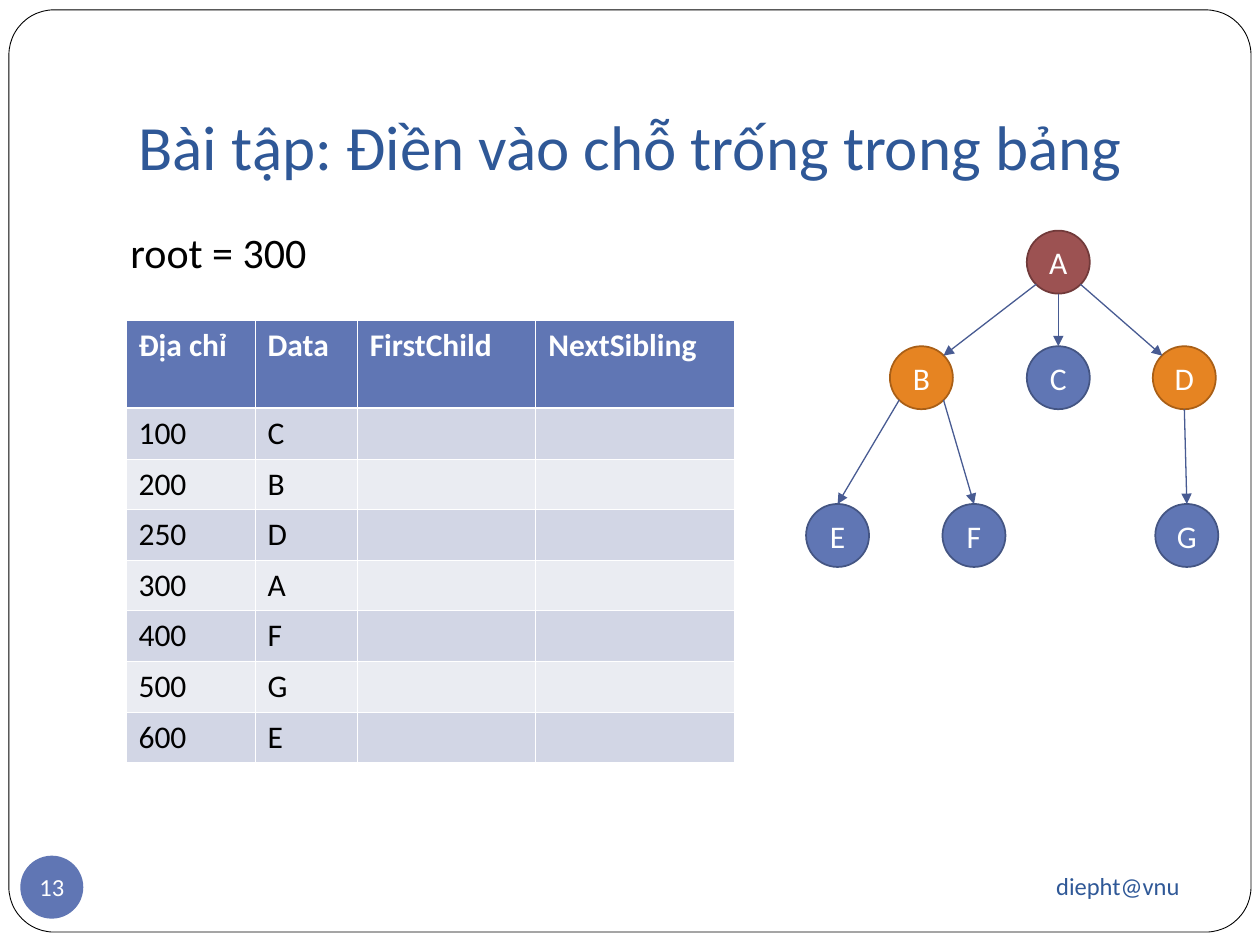
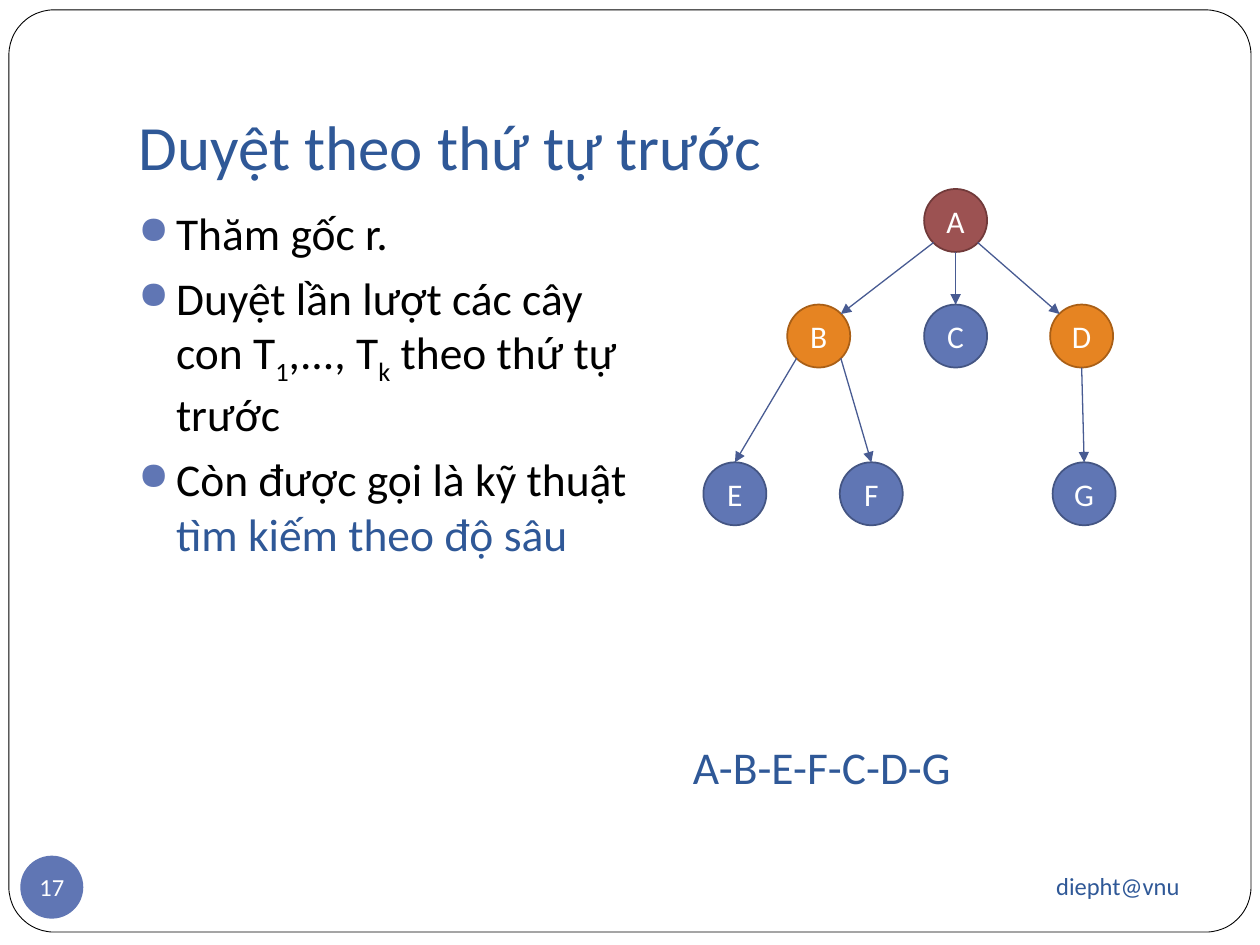
from lxml.etree import SubElement
from pptx import Presentation
from pptx.dml.color import RGBColor
from pptx.enum.shapes import MSO_CONNECTOR as Link, MSO_SHAPE as Preset
from pptx.enum.text import MSO_ANCHOR as Anchor, MSO_AUTO_SIZE as Fit, PP_ALIGN as Align
from pptx.oxml import parse_xml
from pptx.oxml.ns import nsdecls, qn
from pptx.util import Cm, Pt

FONT = "Calibri"
COLORS = {
    "white": "FFFFFF", "black": "000000", "heading": "2F5897",
    "blue": "6076B4", "blue_edge": "445583",
    "red": "9C5252", "red_edge": "713A3A",
    "orange": "E68422", "orange_edge": "A95F16",
    "arrow": "485B92", "band_dark": "D2D6E5", "band_light": "EAECF2",
}
NODE = 1.27
NODES = {
    "A": (4.45, 0, "red"),
    "B": (1.69, 2.33, "orange"), "C": (4.45, 2.33, "blue"), "D": (6.99, 2.33, "orange"),
    "E": (0, 5.51, "blue"), "F": (2.75, 5.51, "blue"), "G": (7.04, 5.51, "blue"),
}
NEAR, MIDDLE, FAR = 0.15 * NODE, 0.5 * NODE, 0.85 * NODE
SIDES = {
    "top": (MIDDLE, 0), "bottom": (MIDDLE, NODE),
    "top left": (NEAR, NEAR), "top right": (FAR, NEAR),
    "bottom left": (NEAR, FAR), "bottom right": (FAR, FAR),
}
EDGES = [
    ("A", "bottom left", "B", "top right"), ("A", "bottom", "C", "top"),
    ("A", "bottom right", "D", "top left"), ("B", "bottom left", "E", "top"),
    ("B", "bottom right", "F", "top"), ("D", "bottom", "G", "top"),
]
HEADERS = ["Địa chỉ", "Data", "FirstChild", "NextSibling"]
RECORDS = [("100", "C"), ("200", "B"), ("250", "D"), ("300", "A"),
           ("400", "F"), ("500", "G"), ("600", "E")]
STEPS = [
    [("Thăm gốc r.", "black", 0)],
    [("Duyệt lần lượt các cây con T", "black", 0), ("1", "black", -25000),
     (",..., T", "black", 0), ("k", "black", -25000), (" theo thứ tự trước", "black", 0)],
    [("Còn được gọi là kỹ thuật", "black", 0), (" tìm kiếm theo độ sâu", "heading", 0)],
]


def rgb(name):
    """Return the named colour."""
    return RGBColor.from_string(COLORS[name])


def add_span(para, text, size, color, bold=False, baseline=0):
    """Add one formatted run to a paragraph."""
    span = para.add_run()
    span.text = text
    font = span.font
    font.name, font.size, font.bold = FONT, Pt(size), bold
    font.color.rgb = rgb(color)
    if baseline:
        span._r.get_or_add_rPr().set("baseline", str(baseline))


def add_text(page, box, text, size, color, align=Align.LEFT, anchor=Anchor.TOP, wrap=True):
    """Add a one-paragraph text box."""
    frame = page.shapes.add_textbox(*map(Cm, box)).text_frame
    frame.word_wrap, frame.vertical_anchor = wrap, anchor
    frame.paragraphs[0].alignment = align
    add_span(frame.paragraphs[0], text, size, color)


def add_disc(page, left, top, text, size, fill, edge=None):
    """Add a round node with a centred label."""
    disc = page.shapes.add_shape(Preset.OVAL, Cm(left), Cm(top), Cm(NODE), Cm(NODE))
    disc.shadow.inherit = False
    disc.fill.solid()
    disc.fill.fore_color.rgb = rgb(fill)
    if edge:
        disc.line.color.rgb, disc.line.width = rgb(edge), Pt(1)
    else:
        disc.line.fill.background()
    frame = disc.text_frame
    frame.word_wrap, frame.vertical_anchor = False, Anchor.MIDDLE
    frame.margin_left = frame.margin_right = frame.margin_top = frame.margin_bottom = 0
    frame.paragraphs[0].alignment = Align.CENTER
    add_span(frame.paragraphs[0], text, size, "white")
    return disc


def add_arrow(page, start, end):
    """Add a straight connector with an arrowhead at its end."""
    arrow = page.shapes.add_connector(Link.STRAIGHT, *map(Cm, (*start, *end)))
    arrow.line.color.rgb, arrow.line.width = rgb("arrow"), Pt(0.75)
    SubElement(arrow.line._get_or_add_ln(), qn("a:tailEnd"), type="triangle")
    SubElement(arrow.element.spPr, qn("a:effectLst"))
    return arrow


def add_tree(page, left, top):
    """Draw the tree with its upper left corner at the given point."""
    discs = {}
    for name, (x, y, fill) in NODES.items():
        discs[name] = add_disc(page, left + x, top + y, name, 18, fill, fill + "_edge")

    def point(name, side):
        """Locate a side of a node."""
        return left + NODES[name][0] + SIDES[side][0], top + NODES[name][1] + SIDES[side][1]

    for parent, parent_side, child, child_side in EDGES:
        arrow = add_arrow(page, point(parent, parent_side), point(child, child_side))
        if child_side == "top":
            arrow.end_connect(discs[child], 0)


def style_cell(cell, text, fill, color, bold, top, bottom):
    """Fill a table cell, write its text and draw its white borders."""
    cell.fill.solid()
    cell.fill.fore_color.rgb = rgb(fill)
    if text:
        add_span(cell.text_frame.paragraphs[0], text, 18, color, bold)
    borders = [("lnL", 0.45), ("lnR", 0.45), ("lnT", top), ("lnB", bottom)]
    for position, (tag, width) in enumerate(borders):
        cell._tc.get_or_add_tcPr().insert(position, parse_xml(
            f'<a:{tag} {nsdecls("a")} w="{Pt(width)}"><a:solidFill>'
            f'<a:srgbClr val="{COLORS["white"]}"/></a:solidFill></a:{tag}>'))


def add_node_table(page, left, top):
    """Add the table of node addresses with blanks to fill in."""
    widths = [2.6, 2.06, 3.6, 4.01]
    heights = [1.78] + [1.02] * len(RECORDS)
    table = page.shapes.add_table(len(heights), len(widths), Cm(left), Cm(top),
                                  Cm(sum(widths)), Cm(sum(heights))).table
    for column, width in zip(table.columns, widths):
        column.width = Cm(width)
    for row, height in zip(table.rows, heights):
        row.height = Cm(height)
    for index, header in enumerate(HEADERS):
        style_cell(table.cell(0, index), header, "blue", "white", True, 0.45, 1.47)
    for number, record in enumerate(RECORDS, 1):
        fill = "band_dark" if number % 2 else "band_light"
        for index, text in enumerate((*record, "", "")):
            style_cell(table.cell(number, index), text, fill, "black", False,
                       1.47 if number == 1 else 0.45, 0.45)


def add_steps(page, box):
    """Add the bulleted steps of the traversal."""
    frame = page.shapes.add_textbox(*map(Cm, box)).text_frame
    frame.word_wrap = True
    for index, step in enumerate(STEPS):
        para = frame.add_paragraph() if index else frame.paragraphs[0]
        layout = para._p.get_or_add_pPr()
        layout.set("marL", str(Cm(0.76)))
        layout.set("indent", str(-Cm(0.76)))
        SubElement(SubElement(layout, qn("a:buClr")), qn("a:srgbClr"), val=COLORS["blue"])
        SubElement(layout, qn("a:buSzPct"), val="85000")
        SubElement(layout, qn("a:buChar"), char="●")
        para.space_before = Pt(5.8 if index else 0)
        for text, color, baseline in step:
            add_span(para, text, 26, color, baseline=baseline)


def add_frame(page):
    """Put the rounded page frame on the layout behind the slides."""
    frame = page.shapes.add_shape(Preset.ROUNDED_RECTANGLE,
                                  Cm(0.18), Cm(0.2), Cm(25.04), Cm(18.59))
    frame.adjustments[0] = 0.049
    frame.shadow.inherit = False
    frame.fill.solid()
    frame.fill.fore_color.rgb = rgb("white")
    frame.line.color.rgb, frame.line.width = rgb("black"), Pt(0.5)
    page.slide_layout.shapes.element.insert(2, frame.element)


def add_page(deck, title, number):
    """Add a slide with its title, number and footer."""
    page = deck.slides.add_slide(deck.slide_layouts[5])
    box = page.shapes.title
    box.left, box.top, box.width, box.height = map(Cm, (2.54, 0.76, 21.59, 3.18))
    frame = box.text_frame
    frame.auto_size, frame.word_wrap = Fit.NONE, True
    frame.vertical_anchor, frame.margin_bottom = Anchor.BOTTOM, Cm(0.25)
    frame.paragraphs[0].alignment = Align.LEFT
    add_span(frame.paragraphs[0], title, 36, "heading")
    add_text(page, (17.15, 17.2, 6.88, 1.32), "diepht@vnu", 14, "heading",
             Align.RIGHT, Anchor.MIDDLE)
    add_disc(page, 0.41, 17.25, number, 14, "blue")
    return page


def build_exercise(deck):
    """Build the fill-in-the-table exercise slide."""
    page = add_page(deck, "Bài tập: Điền vào chỗ trống trong bảng", "13")
    add_frame(page)
    add_node_table(page, 2.54, 6.45)
    add_tree(page, 16.25, 4.65)
    add_text(page, (2.38, 4.45, 4.55, 1.27), "root = 300", 24, "black", wrap=False)


def build_traversal(deck):
    """Build the preorder traversal slide."""
    page = add_page(deck, "Duyệt theo thứ tự trước", "17")
    add_steps(page, (2.54, 4.01, 10.41, 12.7))
    add_text(page, (13.72, 14.78, 10.41, 1.3), "A-B-E-F-C-D-G", 26, "heading")
    add_tree(page, 14.18, 3.81)


def main():
    """Build and save the deck."""
    deck = Presentation()
    deck.slide_width, deck.slide_height = Cm(25.4), Cm(19.05)
    build_exercise(deck)
    build_traversal(deck)
    deck.save("out.pptx")


if __name__ == "__main__":
    main()
